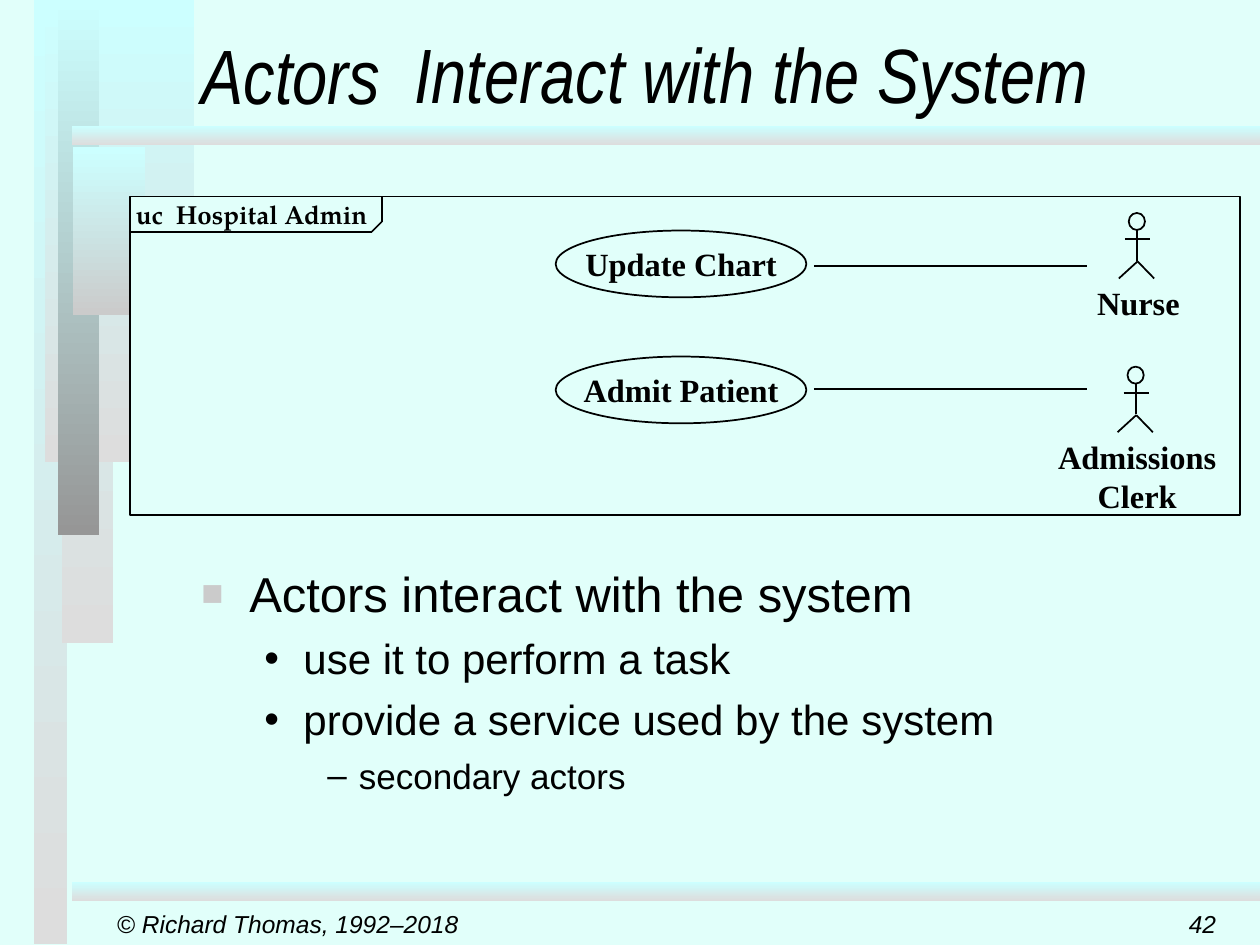
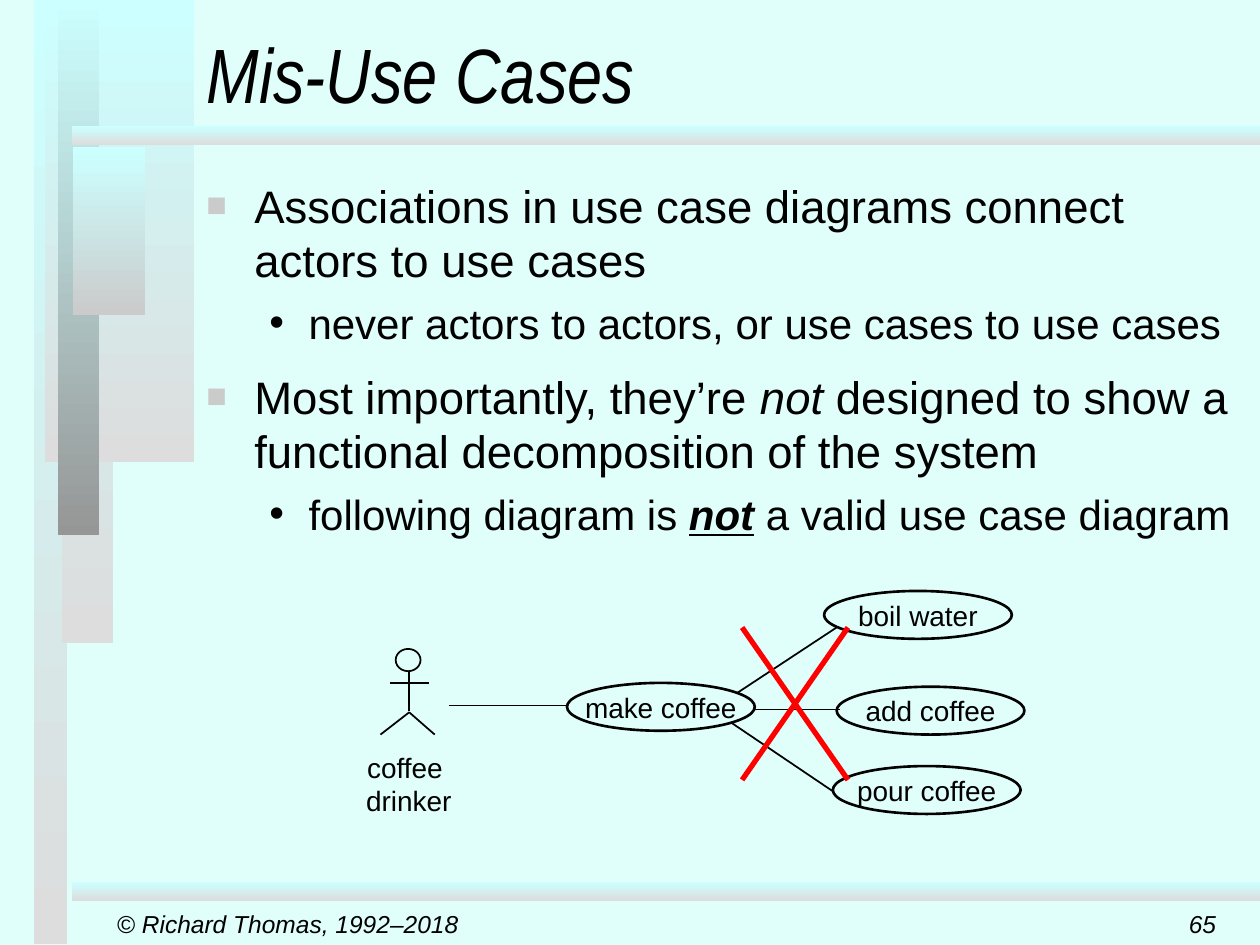
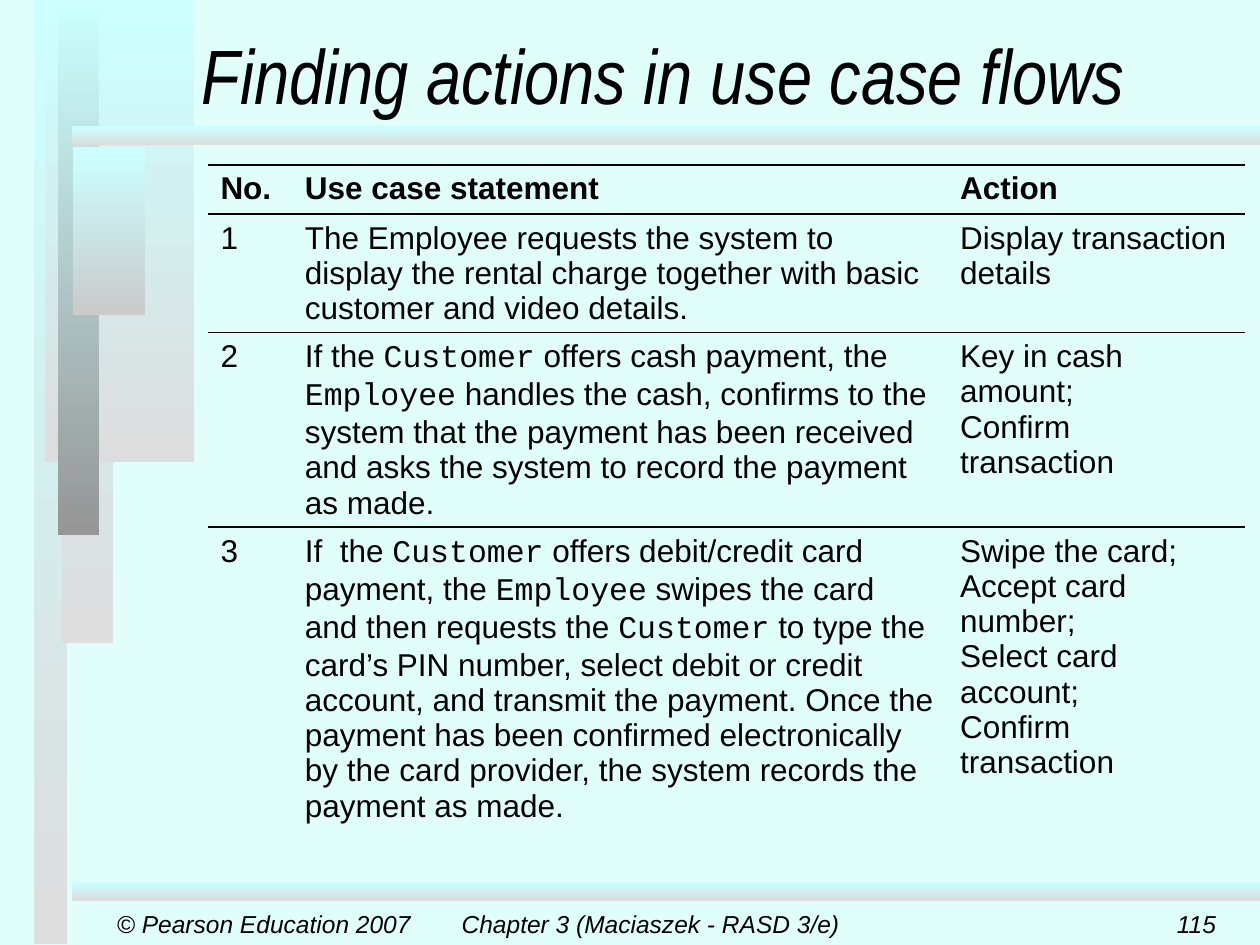
from itertools import pairwise
from lxml import etree
from pptx import Presentation
from pptx import util as u
from pptx.dml import color
from pptx.enum import shapes, text
from pptx.oxml import ns

Inches, Pt = u.Inches, u.Pt
LEFT, CENTER, RIGHT = text.PP_ALIGN.LEFT, text.PP_ALIGN.CENTER, text.PP_ALIGN.RIGHT
TOP, MIDDLE, BOTTOM = text.MSO_ANCHOR.TOP, text.MSO_ANCHOR.MIDDLE, text.MSO_ANCHOR.BOTTOM

COLORS = {"paper": "E1FFFA", "ink": "000000", "cross": "FF0000", "bullet": "CBCBCB",
          "sky": "CCFFFF", "mist": "DDDDDD", "stone": "969696"}

BANDS = [
    (0.27, 0, 0.26, 7.49, "mist"),
    (0.49, 0, 0.41, 5.1, "mist"),
    (0.36, 0, 1.18, 3.67, "mist"),
    (0.46, 0, 0.33, 4.25, "stone"),
    (0.58, 1.17, 0.57, 1.33, "bullet"),
    (0.57, 1, 9.43, 0.15, "mist"),
    (0.57, 7, 9.43, 0.15, "mist"),
]

TITLE = {"name": "Arial Narrow", "size": Pt(44), "italic": True}
FOOTER = {"name": "Arial", "size": Pt(14), "italic": True}
UML = {"name": "Times New Roman", "size": Pt(18.5), "bold": True}
FRAME = {"name": "TeX Gyre Pagella", "size": Pt(14.8), "bold": True}
SKETCH = {"name": "Arial", "size": Pt(16)}
CELL = {"name": "Arial", "size": Pt(18)}
HEADER = CELL | {"bold": True}
CODE = {"name": "Courier New"}
ITALIC = {"italic": True}
STRONG = {"bold": True, "italic": True, "underline": True}

LEVELS = [
    {"mark": "■", "margin": 0.38, "indent": -0.38, "color": "bullet", "percent": 75},
    {"mark": "•", "margin": 0.81, "indent": -0.31, "color": "ink", "percent": 100},
    {"mark": "–", "margin": 1.25, "indent": -0.25, "color": "ink", "percent": 100},
]

AUTHOR = "© Richard Thomas, 1992–2018"
PUBLISHER = "© Pearson Education 2007"
CHAPTER = "Chapter 3 (Maciaszek - RASD 3/e)"

ACTOR_POINTS = [
    [(0.52, 0.26), (0.52, 0.73)],
    [(0.17, 0.4), (0.89, 0.4)],
    [(0, 1), (0.53, 0.74), (1, 1)],
]
ACTOR_HEAD = (0.28, 0, 0.46, 0.26)

INTERACTION_POINTS = [
    (0, 28, ["Actors interact with the system"]),
    (1, 24, ["use it to perform a task"]),
    (1, 24, ["provide a service used by the system"]),
    (2, 20, ["secondary actors"]),
]
HOSPITAL_TAB = [(1.03, 1.84), (2.95, 1.84), (3.03, 1.76), (3.03, 1.56)]
HOSPITAL_ROWS = [
    ("Update Chart", 1.83, 2.11, (8.88, 1.69), ["Nurse"], (8.61, 2.2, 0.85, 0.4)),
    ("Admit Patient", 2.83, 3.09, (8.87, 2.91), ["Admissions", "Clerk"], (8.3, 3.42, 1.45, 0.71)),
]

MISUSE_POINTS = [
    (0, 26, ["Associations in use case diagrams connect actors to use cases"]),
    (1, 24, ["never actors to actors, or use cases to use cases"]),
    (0, 26, ["Most importantly, they’re ", ("not", ITALIC),
             " designed to show a functional decomposition of the system"]),
    (1, 24, ["following diagram is ", ("not", STRONG), " a valid use case diagram"]),
]
COFFEE_CASES = [("make coffee", 4.5, 5.42), ("pour coffee", 6.61, 6.08),
                ("add coffee", 6.64, 5.45), ("boil water", 6.54, 4.69)]
COFFEE_LINKS = [
    [(3.56, 5.6), (4.49, 5.6)],
    [(5.85, 5.5), (6.64, 4.98)],
    [(5.98, 5.63), (6.67, 5.63)],
    [(5.81, 5.74), (6.61, 6.28)],
]
CROSS = [[(5.89, 4.98), (6.73, 6.19)], [(6.73, 4.98), (5.89, 6.19)]]

ACTION_COLUMNS = [0.67, 5.2, 2.36]
ACTION_HEIGHTS = [0.39, 0.94, 1.54, 2.63]
ACTION_ROWS = [
    (["No."], ["Use case statement"], ["Action"]),
    (["1"],
     ["The Employee requests the system to display the rental charge together with basic "
      "customer and video details."],
     ["Display transaction details"]),
    (["2"],
     ["If the ", ("Customer", CODE), " offers cash payment, the ", ("Employee", CODE),
      " handles the cash, confirms to the system that the payment has been received and asks "
      "the system to record the payment as made."],
     ["Key in cash amount; \nConfirm transaction"]),
    (["3"],
     ["If  the ", ("Customer", CODE), " offers debit/credit card payment, the ",
      ("Employee", CODE), " swipes the card and then requests the ", ("Customer", CODE),
      " to type the card’s PIN number, select debit or credit account, and transmit the "
      "payment. Once the payment has been confirmed electronically by the card provider, "
      "the system records the payment as made."],
     ["Swipe the card; \nAccept card number;\nSelect card account;\nConfirm transaction"]),
]


def rgb(name):
    return color.RGBColor.from_string(COLORS[name])


def apply(target, values):
    for attribute, value in values.items():
        setattr(target, attribute, value)


def add_xml(parent, tag, **attributes):
    return etree.SubElement(parent, ns.qn(tag), attributes)


def write(paragraph, runs, style, align=LEFT):
    paragraph.alignment = align
    for item in runs:
        words, extra = (item, {}) if isinstance(item, str) else item
        for index, line in enumerate(words.split("\n")):
            if index:
                paragraph.add_line_break()
            run = paragraph.add_run()
            run.text = line
            apply(run.font, style | extra)
            run.font.color.rgb = rgb("ink")


def write_lines(frame, lines, style, align=LEFT, anchor=TOP, wrap=False):
    apply(frame, {"word_wrap": wrap, "vertical_anchor": anchor,
                  "auto_size": text.MSO_AUTO_SIZE.NONE})
    for index, line in enumerate(lines):
        paragraph = frame.add_paragraph() if index else frame.paragraphs[0]
        write(paragraph, [line], style, align)


def add_label(slide, box, lines, style, align=LEFT, anchor=TOP):
    label = slide.shapes.add_textbox(*map(Inches, box))
    write_lines(label.text_frame, lines, style, align, anchor)


def add_outline(slide, kind, box, width=1):
    shape = slide.shapes.add_shape(kind, *map(Inches, box))
    shape.shadow.inherit = False
    shape.fill.background()
    shape.line.color.rgb = rgb("ink")
    shape.line.width = Pt(width)
    return shape


def add_use_case(slide, name, box, style, width=1):
    oval = add_outline(slide, shapes.MSO_SHAPE.OVAL, box, width)
    write_lines(oval.text_frame, [name], style, CENTER, MIDDLE)


def add_lines(slide, points, ink="ink", width=1):
    for start, end in pairwise(points):
        line = slide.shapes.add_connector(shapes.MSO_CONNECTOR.STRAIGHT,
                                          *map(Inches, start + end))
        line.line.color.rgb = rgb(ink)
        line.line.width = Pt(width)
        add_xml(line.element.spPr, "a:effectLst")


def add_actor(slide, left, top, width, height):
    for points in ACTOR_POINTS:
        add_lines(slide, [(left + x * width, top + y * height) for x, y in points])
    x, y, w, h = ACTOR_HEAD
    add_outline(slide, shapes.MSO_SHAPE.OVAL,
                (left + x * width, top + y * height, w * width, h * height))


def add_bullets(slide, box, points):
    frame = slide.shapes.add_textbox(*map(Inches, box)).text_frame
    frame.word_wrap = True
    for index, (number, size, runs) in enumerate(points):
        level = LEVELS[number]
        paragraph = frame.add_paragraph() if index else frame.paragraphs[0]
        if index:
            paragraph.space_before = Pt(6 if number else 12)
        properties = paragraph._p.get_or_add_pPr()
        properties.set("marL", str(Inches(level["margin"])))
        properties.set("indent", str(Inches(level["indent"])))
        add_xml(add_xml(properties, "a:buClr"), "a:srgbClr", val=COLORS[level["color"]])
        add_xml(properties, "a:buSzPct", val=str(level["percent"] * 1000))
        add_xml(properties, "a:buFont", typeface="Arial")
        add_xml(properties, "a:buChar", char=level["mark"])
        paragraph.level = number
        write(paragraph, runs, {"name": "Arial", "size": Pt(size)})


def add_border(cell, tag):
    border = add_xml(cell._tc.get_or_add_tcPr(), tag, w=str(Pt(1)))
    add_xml(add_xml(border, "a:solidFill"), "a:srgbClr", val=COLORS["ink"])


def add_action_table(slide):
    frame = slide.shapes.add_table(len(ACTION_ROWS), len(ACTION_COLUMNS),
                                   *map(Inches, (1.65, 1.31, 8.23, 5.5)))
    table = frame.table
    apply(table, {"first_row": False, "horz_banding": False})
    table._tbl.tblPr.find(ns.qn("a:tableStyleId")).text = "{2D5ABB26-0587-4C30-8999-92F81FD0307C}"
    for column, width in zip(table.columns, ACTION_COLUMNS):
        column.width = Inches(width)
    for index, (row, height) in enumerate(zip(table.rows, ACTION_HEIGHTS)):
        row.height = Inches(height)
        for cell, runs in zip(row.cells, ACTION_ROWS[index]):
            add_border(cell, "a:lnT")
            if index < len(ACTION_ROWS) - 1:
                add_border(cell, "a:lnB")
            cell.fill.background()
            write(cell.text_frame.paragraphs[0], runs, CELL if index else HEADER)


def add_bands(presentation, slide):
    master = presentation.slide_master
    master.background.fill.solid()
    master.background.fill.fore_color.rgb = rgb("paper")
    for *box, end in BANDS:
        band = slide.shapes.add_shape(shapes.MSO_SHAPE.RECTANGLE, *map(Inches, box))
        band.shadow.inherit = False
        band.line.fill.background()
        band.fill.gradient()
        band.fill.gradient_angle = 270
        for stop, name in zip(band.fill.gradient_stops, ("sky", end)):
            stop.color.rgb = rgb(name)
        master.shapes.element.append(band.element)


def add_slide(presentation, title, box, number, notice=AUTHOR):
    slide = presentation.slides.add_slide(presentation.slide_layouts[5])
    placeholder = slide.shapes.title
    apply(placeholder, dict(zip(("left", "top", "width", "height"), map(Inches, box))))
    write_lines(placeholder.text_frame, [title], TITLE, anchor=BOTTOM, wrap=True)
    add_label(slide, (0.83, 7.17, 2.08, 0.33), [notice], FOOTER, LEFT, MIDDLE)
    add_label(slide, (7.67, 7.17, 2.08, 0.33), [number], FOOTER, RIGHT, MIDDLE)
    return slide


def build_interaction(presentation):
    slide = add_slide(presentation, "Actors", (1.5, 0, 8.5, 1), "42")
    add_bands(presentation, slide)
    frame = add_outline(slide, shapes.MSO_SHAPE.RECTANGLE, (1.03, 1.56, 8.81, 2.53))
    frame.fill.solid()
    frame.fill.fore_color.rgb = rgb("paper")
    add_lines(slide, HOSPITAL_TAB)
    add_label(slide, (0.98, 1.53, 2.06, 0.35), ["uc  Hospital Admin"], FRAME)
    add_label(slide, (3.19, 0.16, 5.6, 0.84), ["Interact with the System"], TITLE)
    for name, top, line_y, actor, role, role_box in HOSPITAL_ROWS:
        add_use_case(slide, name, (4.41, top, 1.99, 0.53), UML)
        add_lines(slide, [(6.46, line_y), (8.63, line_y)])
        add_actor(slide, *actor, 0.28, 0.52)
        add_label(slide, role_box, role, UML, CENTER)
    add_bullets(slide, (1.5, 4.42, 8.25, 2.31), INTERACTION_POINTS)


def build_misuse(presentation):
    slide = add_slide(presentation, "Mis-Use Cases", (1.54, 0.05, 7.54, 0.94), "65")
    add_bullets(slide, (1.54, 1.36, 8.35, 3.22), MISUSE_POINTS)
    add_actor(slide, 3.02, 5.15, 0.43, 0.68)
    add_label(slide, (2.8, 5.9, 0.89, 0.64), ["coffee ", "drinker"], SKETCH, CENTER, MIDDLE)
    for name, left, top in COFFEE_CASES:
        add_use_case(slide, name, (left, top, 1.49, 0.38), SKETCH, 1.5)
    for points in COFFEE_LINKS:
        add_lines(slide, points)
    for points in CROSS:
        add_lines(slide, points, "cross", 3)


def build_actions(presentation):
    slide = add_slide(presentation, "Finding actions in use case flows", (1.5, 0, 8.5, 1),
                      "115", PUBLISHER)
    add_label(slide, (3.58, 7.17, 3.17, 0.33), [CHAPTER], FOOTER, CENTER, MIDDLE)
    add_action_table(slide)


def main():
    presentation = Presentation()
    apply(presentation, {"slide_width": Inches(10), "slide_height": Inches(7.5)})
    build_interaction(presentation)
    build_misuse(presentation)
    build_actions(presentation)
    presentation.save("out.pptx")


if __name__ == "__main__":
    main()
